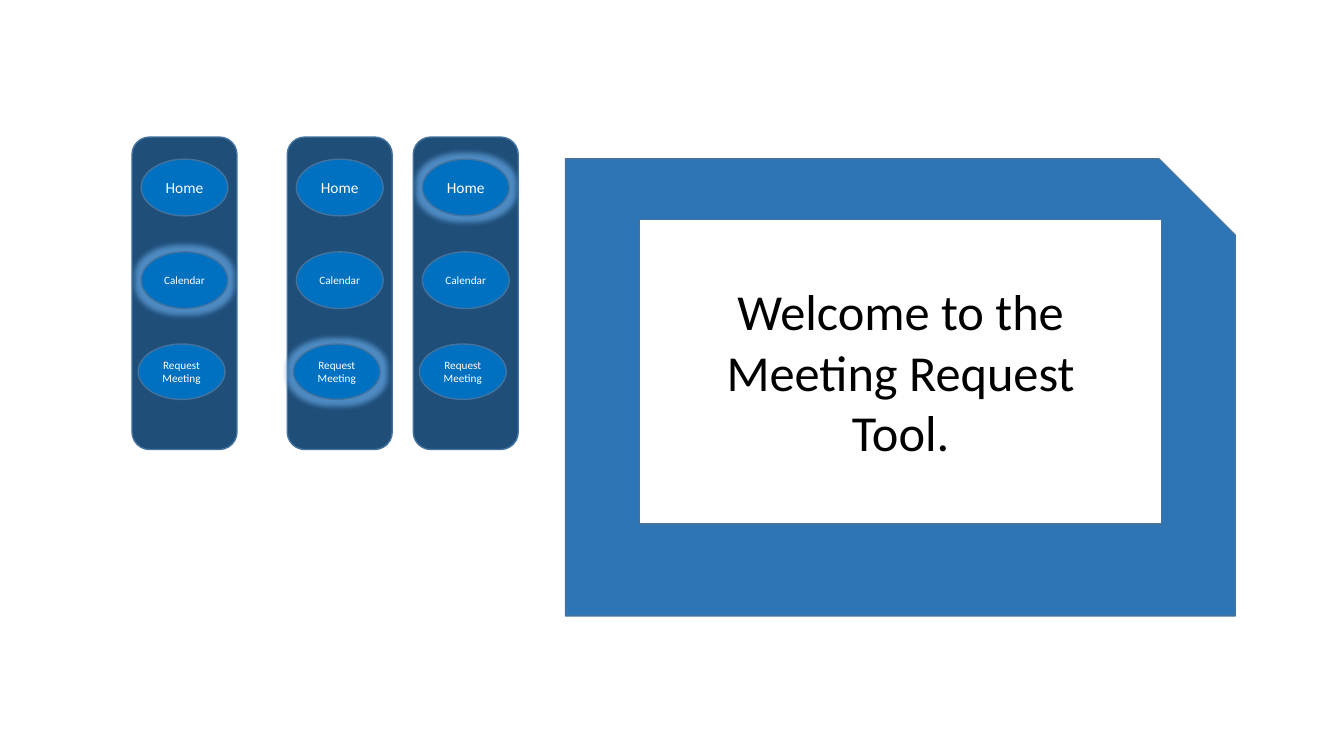
from lxml import etree
from pptx import Presentation
from pptx.dml.color import RGBColor
from pptx.enum.shapes import MSO_SHAPE
from pptx.enum.text import MSO_ANCHOR, PP_ALIGN
from pptx.oxml.ns import qn
from pptx.util import Pt

ROUND_RECT = MSO_SHAPE.ROUNDED_RECTANGLE
OVAL = MSO_SHAPE.OVAL
RECT = MSO_SHAPE.RECTANGLE
SNIP_RECT = MSO_SHAPE.SNIP_1_RECTANGLE
MIDDLE = MSO_ANCHOR.MIDDLE
CENTER = PP_ALIGN.CENTER

FONT = "Calibri"
NAVY, BUTTON_BLUE, FRAME_BLUE = "1F4E79", "0070C0", "2E75B6"
OUTLINE, GLOW, WHITE, BLACK = "43739E", "5B9BD5", "FFFFFF", "000000"

# Menu panels: left edge and the highlighted button
MENUS = [(94.3, "Calendar"), (205.2, "Request Meeting"), (295.2, "Home")]
MENU_TOP, MENU_W, MENU_H = 97.9, 75, 223.2
# Buttons: label, font size, offset from the panel's left and top, height
BUTTONS = [
    ("Home", 11, 6.5, 15.8, 40.5),
    ("Calendar", 8, 6.5, 82, 40.5),
    ("Request Meeting", 8, 4.4, 147.8, 39.6),
]
BUTTON_W = 62

WELCOME = "Welcome to the Meeting Request Tool."
FRAME = (403.9, 113.5, 478.4, 326.4)
SCREEN = (456.8, 156.6, 372.8, 217.8)
WELCOME_BOX = (496.1, 196.6, 294.5, 138.2)


def rgb(color):
    """Turn a hex string into a colour."""
    return RGBColor.from_string(color)


def add_box(group, kind, box, fill):
    """Add a filled, outlined shape at box (left, top, width, height)."""
    sp = group.shapes.add_shape(kind, *map(Pt, box))
    sp.shadow.inherit = False
    sp.fill.solid()
    sp.fill.fore_color.rgb = rgb(fill)
    sp.line.color.rgb = rgb(OUTLINE)
    sp.line.width = Pt(1)
    return sp


def set_text(sp, text, size, color):
    """Write one centred, wrapping paragraph into a shape."""
    tf = sp.text_frame
    tf.word_wrap = True
    tf.text = text
    p = tf.paragraphs[0]
    p.alignment = CENTER
    font = p.runs[0].font
    font.name, font.size, font.color.rgb = FONT, Pt(size), rgb(color)
    return tf


def add_glow(sp, radius=8, opacity=80):
    """Put a soft glow around a shape."""
    effects = sp._element.spPr.find(qn("a:effectLst"))
    glow = etree.SubElement(effects, qn("a:glow"), rad=str(Pt(radius)))
    color = etree.SubElement(glow, qn("a:srgbClr"), val=GLOW)
    etree.SubElement(color, qn("a:alpha"), val=str(opacity * 1000))


def add_menu(slide, left, active):
    """Add one menu panel with its active button glowing."""
    group = slide.shapes.add_group_shape()
    add_box(group, ROUND_RECT, (left, MENU_TOP, MENU_W, MENU_H), NAVY)
    for label, size, dx, dy, height in BUTTONS:
        box = (left + dx, MENU_TOP + dy, BUTTON_W, height)
        sp = add_box(group, OVAL, box, BUTTON_BLUE)
        tf = set_text(sp, label, size, WHITE)
        tf.vertical_anchor = MIDDLE
        tf.margin_left = tf.margin_right = tf.margin_top = tf.margin_bottom = 0
        if label == active:
            add_glow(sp)


def add_welcome(slide):
    """Add the framed welcome screen."""
    group = slide.shapes.add_group_shape()
    add_box(group, SNIP_RECT, FRAME, FRAME_BLUE)
    add_box(group, RECT, SCREEN, WHITE)
    set_text(group.shapes.add_textbox(*map(Pt, WELCOME_BOX)), WELCOME, 36, BLACK)


prs = Presentation()
prs.slide_width, prs.slide_height = Pt(960), Pt(540)
s = prs.slides.add_slide(prs.slide_layouts[6])
for menu_left, active_label in MENUS:
    add_menu(s, menu_left, active_label)
add_welcome(s)
prs.save("out.pptx")
